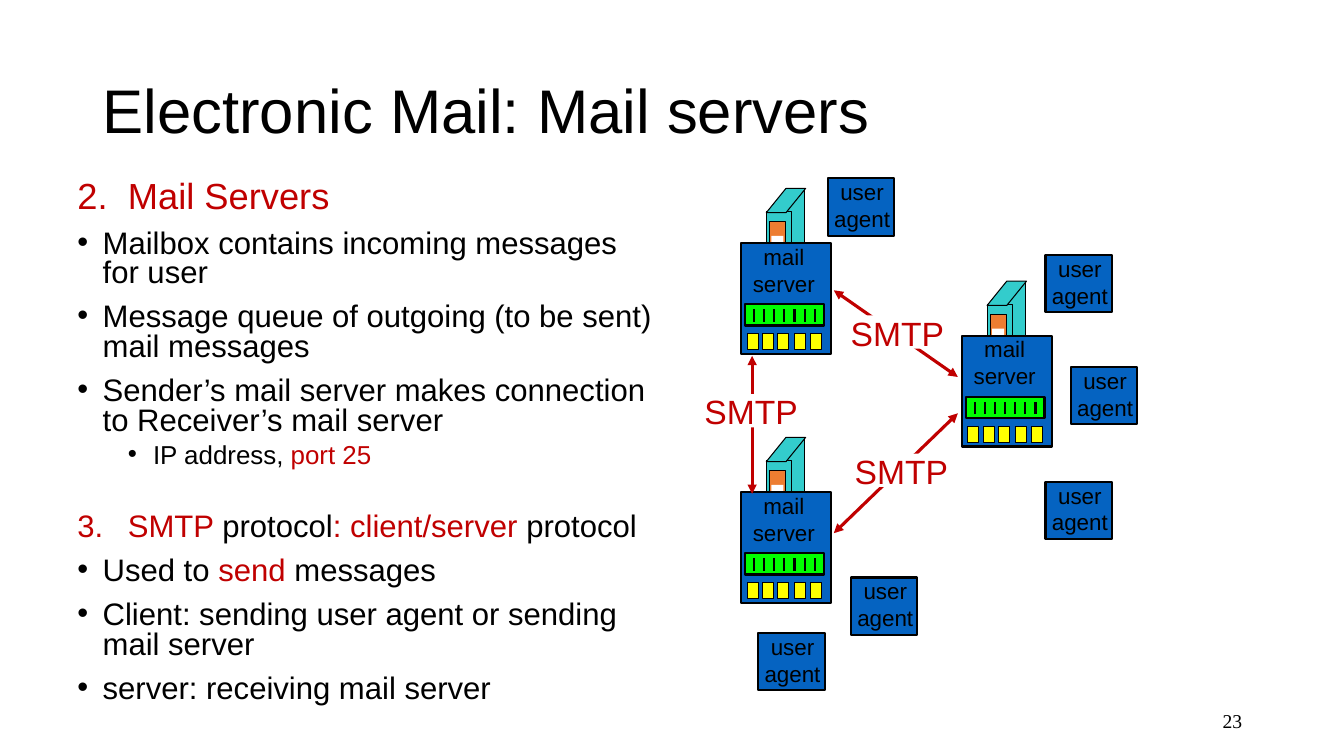
import pptx
import pptx.util
import pptx.dml.color
import pptx.enum.shapes
import pptx.enum.text
import pptx.oxml.ns
import lxml.etree as etree

PX = 9144
HUES = {
    "black": "000000", "white": "FFFFFF", "red": "C00000", "teal": "33CCCC",
    "orange": "ED7D31", "blue": "0563C1", "green": "00FF00", "yellow": "FFFF00",
}
KINDS = pptx.enum.shapes.MSO_SHAPE
ALIGN = pptx.enum.text.PP_ALIGN
MIDDLE = pptx.enum.text.MSO_ANCHOR.MIDDLE


def px(*nums):
    return [pptx.util.Emu(num * PX) for num in nums]


def hue(name):
    return pptx.dml.color.RGBColor.from_string(HUES[name])


def add_tag(owner, tag, **attrs):
    return etree.SubElement(owner, pptx.oxml.ns.qn(tag), attrs)


class Board:
    def __init__(self, slide, face):
        self.slide = slide
        self.face = face
        self.art = slide.shapes

    def group(self):
        self.art = self.slide.shapes.add_group_shape().shapes

    def ungroup(self):
        self.art = self.slide.shapes

    def shape(self, x, y, w, h, fill, line=0, kind=KINDS.RECTANGLE):
        item = self.art.add_shape(kind, *px(x, y, w, h))
        item.shadow.inherit = False
        item.fill.solid()
        item.fill.fore_color.rgb = hue(fill)
        if line:
            item.line.color.rgb = hue("black")
            item.line.width = pptx.util.Pt(line)
        else:
            item.line.fill.background()
        return item

    def line(self, x1, y1, x2, y2, color="black", width=0.75, arrows=False):
        item = self.art.add_connector(
            pptx.enum.shapes.MSO_CONNECTOR.STRAIGHT, *px(x1, y1, x2, y2))
        item.line.color.rgb = hue(color)
        item.line.width = pptx.util.Pt(width)
        if arrows:
            for end in ("a:headEnd", "a:tailEnd"):
                add_tag(item.line._get_or_add_ln(), end, type="triangle")
        add_tag(item._element.spPr, "a:effectLst")

    def frame(self, x, y, w, h, wrap=True, anchor=None):
        frame = self.art.add_textbox(*px(x, y, w, h)).text_frame
        frame.word_wrap = wrap
        frame.vertical_anchor = anchor
        return frame

    def style(self, para, size, color="black", face=None):
        para.font.name = face or self.face
        para.font.size = pptx.util.Pt(size)
        para.font.color.rgb = hue(color)

    def text(self, x, y, w, h, lines, size, color="black", align=ALIGN.CENTER,
             wrap=False, anchor=None, face=None, pitch=None):
        frame = self.frame(x, y, w, h, wrap, anchor)
        frame.text = lines
        for para in frame.paragraphs:
            para.alignment = align
            para.line_spacing = pitch
            self.style(para, size, color, face)

    def outline(self, x, y, w, h, items):
        frame = self.frame(x, y, w, h)
        for rank, (size, before, start, level, runs) in enumerate(items):
            para = frame.add_paragraph() if rank else frame.paragraphs[0]
            para.level = level
            props = para._p.get_or_add_pPr()
            hang = 50 if start else 25
            props.set("marL", str((hang + 50 * level) * PX))
            props.set("indent", str(-hang * PX))
            if start:
                add_tag(props, "a:buFont", typeface="+mj-lt")
                add_tag(props, "a:buAutoNum", type="arabicPeriod", startAt=str(start))
            else:
                add_tag(props, "a:buFont", typeface="Arial")
                add_tag(props, "a:buChar", char="•")
            para.line_spacing = 0.8
            para.space_before = pptx.util.Pt(before)
            colors = [color for words, color in runs]
            self.style(para, size, colors[0])
            for words, color in runs:
                run = para.add_run()
                run.text = words
                if color != colors[0]:
                    run.font.color.rgb = hue(color)

    def server(self, x, y):
        self.group()
        self.shape(x + 45, y - 54, 18, 78, "teal")
        self.shape(x + 25, y - 31, 25, 78, "teal", 0.75)
        roof = self.shape(x + 25, y - 54, 39, 24, "teal", 0.75, KINDS.PARALLELOGRAM)
        roof.adjustments[0] = 0.81
        self.line(x + 63, y - 53, x + 63, y + 24)
        self.shape(x + 28, y - 21, 16, 45, "orange", 0.75)
        self.shape(x + 30, y - 7, 12, 16, "white")
        self.shape(x, y, 89, 110, "blue", 1.5)
        self.text(x + 1, y - 5, 83, 64, "mail\nserver", 16)
        self.shape(x + 4, y + 61, 78, 21, "green", 1.5)
        for left in range(x + 13, x + 83, 10):
            self.line(left, y + 66, left, y + 78, width=1.5)
        for left in (6, 21, 36, 53, 69):
            self.shape(x + left, y + 90, 11, 16, "yellow", 0.75)
        self.ungroup()

    def agent(self, x, y):
        self.group()
        self.shape(x, y, 66, 57, "blue", 1.5)
        self.text(x - 5, y - 5, 78, 64, "user\nagent", 16)
        self.ungroup()

    def label(self, x, y):
        self.group()
        self.shape(x, y, 94, 33, "white")
        self.text(x - 10, y - 8, 114, 51, "SMTP", 24, "red")
        self.ungroup()


def main():
    deck = pptx.Presentation()
    deck.slide_width, deck.slide_height = px(1333, 750)
    board = Board(deck.slides.add_slide(deck.slide_layouts[6]), "Arial")
    board.text(92, 40, 1150, 145, "Electronic Mail: Mail servers", 44,
               align=ALIGN.LEFT, wrap=True, anchor=MIDDLE, pitch=0.9)
    board.outline(67, 175, 597, 560, [
        (25.9, 0, 2, 0, [("Mail Servers", "red")]),
        (22.2, 10, 0, 0, [("Mailbox contains incoming messages for user", "black")]),
        (22.2, 10, 0, 0, [("Message queue of outgoing (to be sent) mail messages", "black")]),
        (22.2, 10, 0, 0, [("Sender’s mail server makes connection to Receiver’s mail server", "black")]),
        (18.5, 5, 0, 1, [("IP address, ", "black"), ("port 25", "red")]),
        (22.2, 32, 3, 0, [("SMTP ", "red"), ("protocol", "black"),
                          (": client/server ", "red"), ("protocol", "black")]),
        (22.2, 10, 0, 0, [("Used to ", "black"), ("send", "red"), (" messages", "black")]),
        (22.2, 10, 0, 0, [("Client: sending user agent or sending mail server", "black")]),
        (22.2, 10, 0, 0, [("server: receiving mail server", "black")]),
    ])
    for spot in ((954, 333), (735, 488), (735, 241)):
        board.server(*spot)
    for spot in ((1037, 253), (1062, 364), (1037, 478), (844, 573), (752, 628), (821, 177)):
        board.agent(*spot)
    for ends in ((827, 288, 950, 374), (827, 529, 950, 410), (746, 490, 746, 353)):
        board.line(*ends, color="red", width=2.25, arrows=True)
    for spot in ((847, 450), (843, 313), (698, 391)):
        board.label(*spot)
    board.text(942, 695, 300, 40, "23", 14, align=ALIGN.RIGHT, wrap=True,
               anchor=MIDDLE, face="Times New Roman")
    deck.save("out.pptx")


if __name__ == "__main__":
    main()
